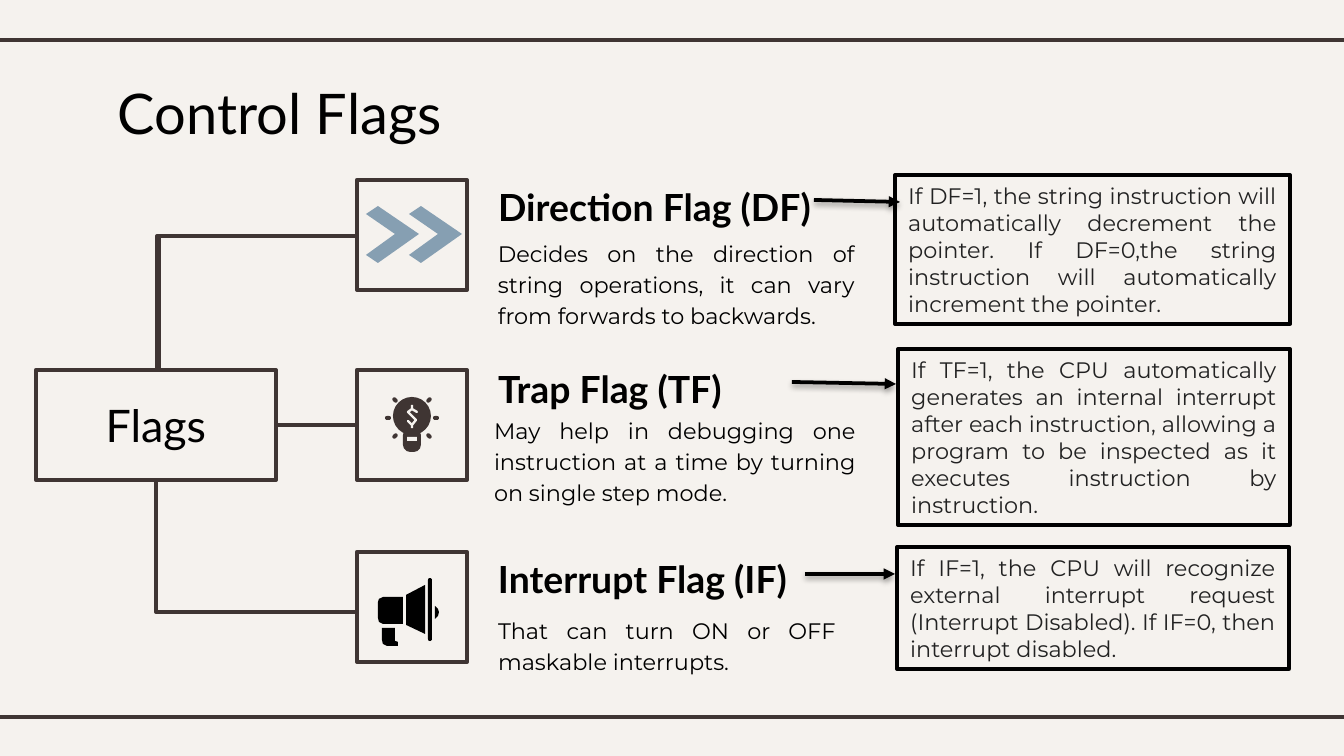
from lxml.etree import SubElement
from pptx import Presentation
from pptx.dml.color import RGBColor
from pptx.enum.shapes import MSO_CONNECTOR, MSO_SHAPE
from pptx.enum.text import MSO_ANCHOR, PP_ALIGN
from pptx.oxml.ns import qn
from pptx.util import Emu, Pt

PX = 914400 / 134.4
W, H = 1344, 756
PAPER = RGBColor(0xF5, 0xF2, 0xEE)
BROWN = RGBColor(0x3F, 0x35, 0x33)
BLUE = RGBColor(0x86, 0x9F, 0xB2)
BLACK = RGBColor(0, 0, 0)
GRAY = RGBColor(0x22, 0x22, 0x22)
TILE_X, TILE = 357, 110
FLAGS_MID = 156

TILE_TOPS = (180, 370, 552)
FLAGS = [
    ("Direction Flag (DF)", (485, 171, 395, 70),
     "Decides on the direction of string operations, it can vary from forwards to backwards.",
     (485, 223, 383, 79),
     "If DF=1, the string instruction will automatically decrement the pointer. "
     "If DF=0,the string instruction will automatically increment the pointer.",
     (895, 175, 395, 149), (814, 200, 900, 202)),
    ("Trap Flag (TF)", (485, 353, 395, 70),
     "May help in debugging one instruction at a time by turning on single step mode.",
     (481, 400, 388, 79),
     "If TF=1, the CPU automatically generates an internal interrupt after each instruction, "
     "allowing a program to be inspected as it executes instruction by instruction.",
     (898, 349, 392, 176), (792, 382, 896, 384)),
    ("Interrupt Flag (IF)", (485, 543, 519, 70),
     "That can turn ON or OFF maskable interrupts.",
     (485, 600, 364, 79),
     "If IF=1, the CPU will recognize external interrupt request (Interrupt Disabled). "
     "If IF=0, then interrupt disabled.",
     (897, 547, 392, 122), (805, 574, 895, 574)),
]


def px(n):
    """Turn pixels into EMU."""
    return Emu(round(n * PX))


def write(tf, text, font, size, color, bold=False, align=PP_ALIGN.LEFT):
    """Fill a text frame with one paragraph."""
    tf.word_wrap = True
    tf.text = text
    p = tf.paragraphs[0]
    p.alignment = align
    f = p.runs[0].font
    f.name, f.size, f.bold = font, Pt(size), bold
    f.color.rgb = color
    return p


def add_text(s, box, *args, **kwargs):
    """Add a text box with wide margins."""
    tf = s.shapes.add_textbox(*map(px, box)).text_frame
    tf.margin_left = tf.margin_right = tf.margin_top = tf.margin_bottom = px(13)
    tf.vertical_anchor = MSO_ANCHOR.TOP
    return write(tf, *args, **kwargs)


def paint(sp, fill=None, line=None, width=2.25):
    """Set the fill and outline of a shape."""
    sp.shadow.inherit = False
    if fill is None:
        sp.fill.background()
    else:
        sp.fill.solid()
        sp.fill.fore_color.rgb = fill
    if line is None:
        sp.line.fill.background()
    else:
        sp.line.color.rgb = line
        sp.line.width = Pt(width)
    return sp


def add_preset(s, kind, box, **style):
    """Add a painted preset shape."""
    return paint(s.shapes.add_shape(kind, *map(px, box)), **style)


def add_outline(s, points, closed=True, **style):
    """Add a painted freeform through the points."""
    fb = s.shapes.build_freeform(*points[0], scale=PX)
    fb.add_line_segments(points[1:], close=closed)
    return paint(fb.convert_to_shape(), **style)


def add_line(s, ends, kind=MSO_CONNECTOR.STRAIGHT, color=BROWN, width=2.25):
    """Add a connector and return it with its empty effect list."""
    c = s.shapes.add_connector(kind, *map(px, ends))
    c.line.color.rgb = color
    c.line.width = Pt(width)
    return c, SubElement(c._element.spPr, qn("a:effectLst"))


def add_elbow(s, ends):
    """Add an elbow that turns right at its start."""
    c, _ = add_line(s, ends, MSO_CONNECTOR.ELBOW)
    av = c._element.spPr.find(qn("a:prstGeom")).get_or_add_avLst()
    SubElement(av, qn("a:gd"), name="adj1", fmla="val 700")


def add_arrow(s, ends):
    """Add a black arrow with a soft shadow."""
    c, effects = add_line(s, ends, color=BLACK, width=2)
    SubElement(c.line._get_or_add_ln(), qn("a:tailEnd"), type="triangle")
    shadow = SubElement(effects, qn("a:outerShdw"), blurRad="40000", dist="20000",
                        dir="5400000", rotWithShape="0")
    rgb = SubElement(shadow, qn("a:srgbClr"), val="000000")
    SubElement(rgb, qn("a:alpha"), val="38000")


def add_chevrons(s):
    """Draw the two direction chevrons."""
    for x in (366, 409):
        add_outline(s, [(x + 12, 206), (x, 214), (x + 29, 234), (x, 255),
                        (x + 12, 263), (x + 53, 234)], fill=BLUE)


def add_bulb(s):
    """Draw the shining bulb with its dollar sign."""
    add_preset(s, MSO_SHAPE.OVAL, (393, 397, 38, 38), fill=BROWN)
    neck = add_preset(s, MSO_SHAPE.ROUNDED_RECTANGLE, (403, 428, 18, 24), fill=BROWN)
    neck.adjustments[0] = 0.4
    add_preset(s, MSO_SHAPE.RECTANGLE, (407, 437, 10, 4), fill=PAPER)
    add_outline(s, [(412, 405), (412, 409), (417, 412), (412, 409), (408, 412), (416, 420),
                    (412, 425), (408, 421), (412, 425), (412, 428)],
                closed=False, line=PAPER, width=1.25)
    for x, y, angle in ((388, 418, 0), (436, 418, 0), (395, 400, 45), (429, 436, 45),
                        (429, 400, 135), (395, 436, 135)):
        ray = add_preset(s, MSO_SHAPE.ROUNDED_RECTANGLE, (x - 3, y - 2, 6, 4), fill=BROWN)
        ray.adjustments[0] = 0.5
        ray.rotation = angle


def add_megaphone(s):
    """Draw the megaphone."""
    body = [(383, 597), (403, 597), (403, 624), (383, 624),
            (379, 622), (378, 618), (378, 602), (379, 599)]
    horn = [(425, 585), (406, 595), (406, 625), (425, 634)]
    wave = [(435, 606), (438, 609), (439, 612), (438, 616), (435, 619)]
    handle = [(382, 628), (395, 628), (395, 641), (398, 642),
              (398, 646), (387, 646), (383, 644), (382, 640)]
    for points in (body, horn, wave, handle):
        add_outline(s, points, fill=BLACK)
    rim = add_preset(s, MSO_SHAPE.ROUNDED_RECTANGLE, (428, 578, 4, 63), fill=BLACK)
    rim.adjustments[0] = 0.5


def add_flag(s, name, name_box, about, about_box, effect, effect_box, arrow):
    """Add one flag with its description, effect and arrow."""
    add_text(s, name_box, name, "Lato", 20, BLACK, bold=True)
    p = add_text(s, about_box, about, "Montserrat", 12, BLACK, align=PP_ALIGN.JUSTIFY)
    p.line_spacing = 1.15
    p.space_after = Pt(12)
    sp = add_preset(s, MSO_SHAPE.RECTANGLE, effect_box, fill=PAPER, line=BLACK, width=2)
    write(sp.text_frame, effect, "Montserrat", 12, GRAY, align=PP_ALIGN.JUSTIFY)
    add_arrow(s, arrow)


def main():
    """Build the slide."""
    prs = Presentation()
    prs.slide_width, prs.slide_height = px(W), px(H)
    s = prs.slides.add_slide(prs.slide_layouts[6])
    s.background.fill.solid()
    s.background.fill.fore_color.rgb = PAPER
    for y in (40, 717):
        add_line(s, (0, y, W, y))
    add_text(s, (105, 66, 1134, 85), "Control Flags", "Lato", 30, BLACK)

    root = add_preset(s, MSO_SHAPE.RECTANGLE, (36, 370, 240, TILE), line=BROWN)
    write(root.text_frame, "Flags", "Lato", 24, BLACK, align=PP_ALIGN.CENTER)
    tiles = [add_preset(s, MSO_SHAPE.RECTANGLE, (TILE_X, y, TILE, TILE), line=BROWN)
             for y in TILE_TOPS]
    link, _ = add_line(s, (276, 425, TILE_X, 425))
    link.begin_connect(root, 3)
    link.end_connect(tiles[1], 1)
    for x, y, end in ((FLAGS_MID, 370, 236), (FLAGS_MID + 2, 370, 236), (FLAGS_MID - 1, 480, 612)):
        add_elbow(s, (x, y, TILE_X, end))

    add_chevrons(s)
    add_bulb(s)
    add_megaphone(s)
    for flag in FLAGS:
        add_flag(s, *flag)
    prs.save("out.pptx")


if __name__ == "__main__":
    main()
